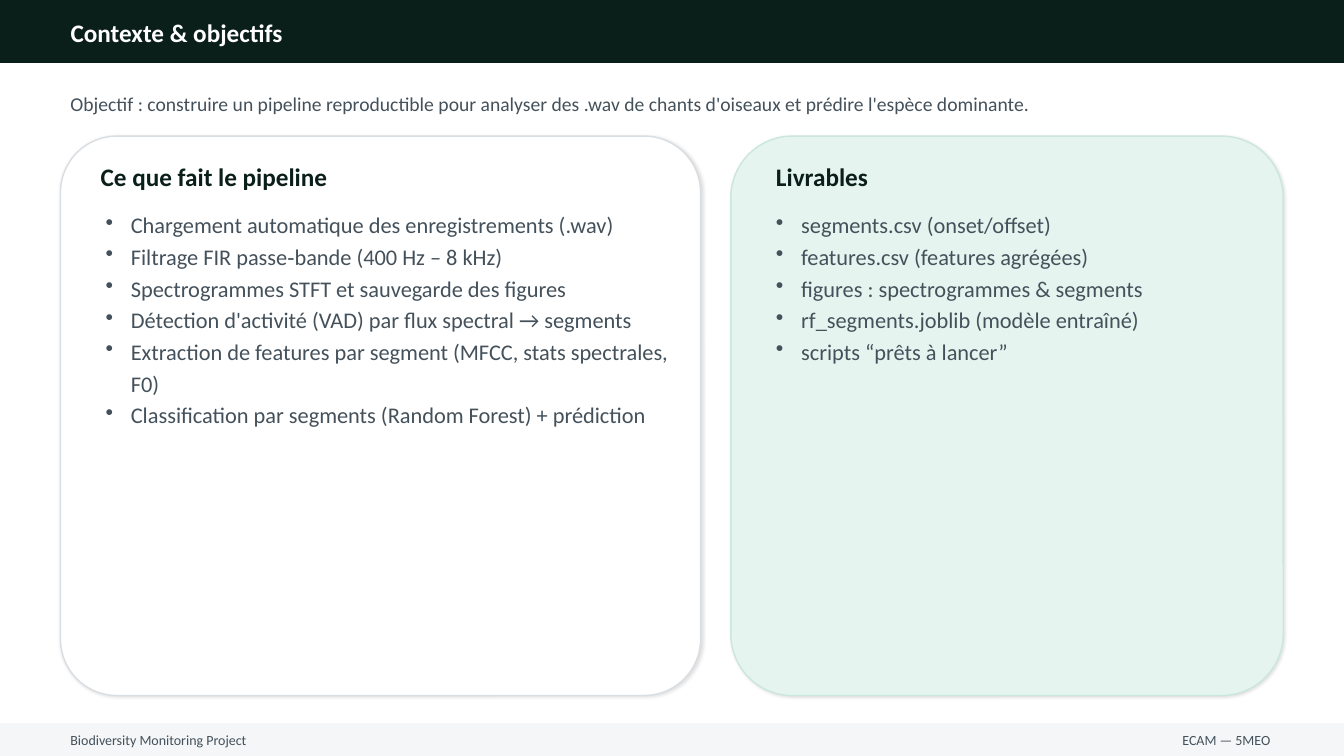
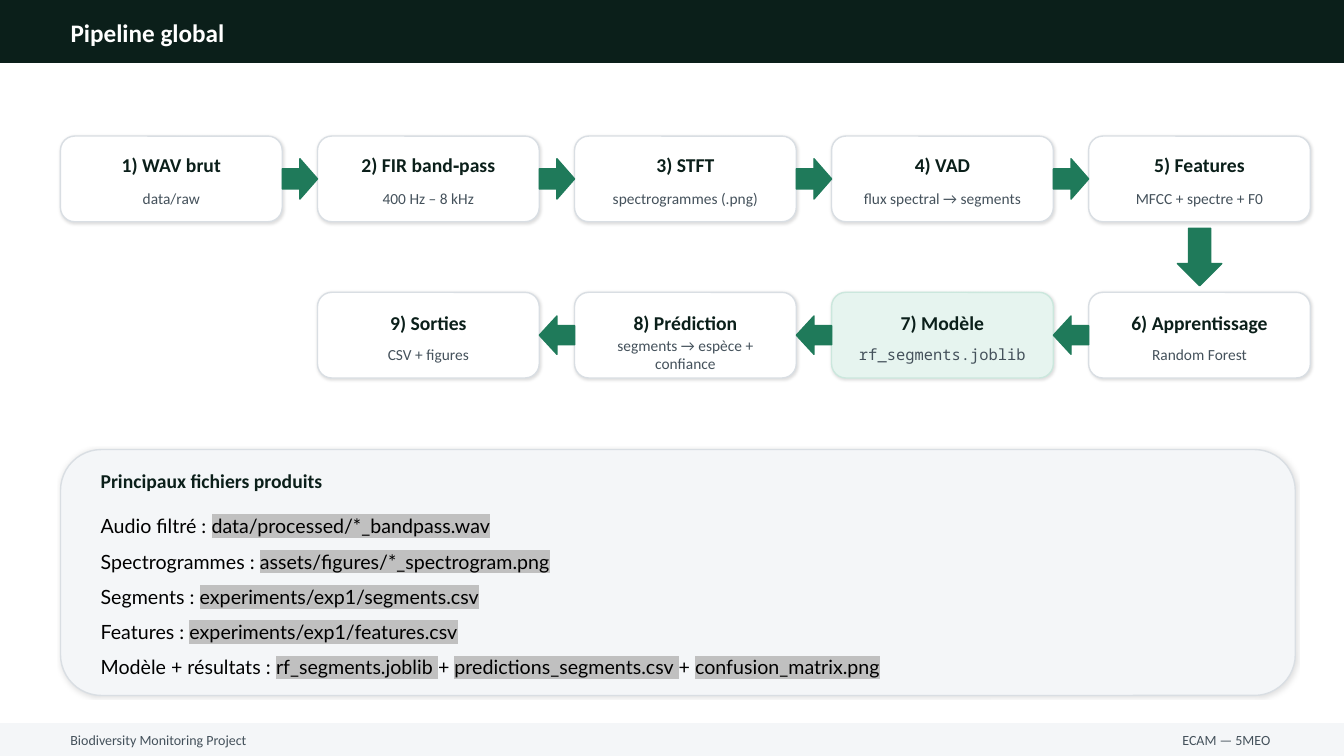
from collections import namedtuple

from lxml import etree
from pptx import Presentation
from pptx import util as u
from pptx.dml.color import RGBColor
from pptx.enum import shapes, text
from pptx.oxml import ns

# The grid has square cells of a tenth of an inch.
CELL = u.Inches(0.1)
COLS, ROWS = 133.33, 75
MARGIN = 6
BODY_TOP, BODY_BOTTOM = 13.5, 69

INK, SLATE, WHITE, BLACK = "0B1F1A", "44515B", "FFFFFF", "000000"
MIST, BORDER, GREEN = "F4F6F8", "D9DEE3", "1F7A5A"
MINT, MINT_BORDER, MARK = "E6F4EF", "CBE7DD", "C0C0C0"

TITLE = dict(size=18, bold=True, color=WHITE)
HEADING = dict(size=18, bold=True, color=INK)
SUBHEADING = dict(size=14, bold=True, color=INK)
LEAD = dict(size=14, color=SLATE)
BODY = dict(size=16, color=SLATE)
CAPTION = dict(size=11, color=SLATE)
CODE = dict(CAPTION, name="Noto Sans Mono")
FOOTER = dict(size=10, color=SLATE)
FILES = dict(size=14, color=BLACK, name="Lato")

LEFT, CENTER, RIGHT = (text.PP_ALIGN.LEFT, text.PP_ALIGN.CENTER,
                       text.PP_ALIGN.RIGHT)
TOP, MIDDLE = text.MSO_ANCHOR.TOP, text.MSO_ANCHOR.MIDDLE
SHAPE = shapes.MSO_SHAPE


class Box(namedtuple("Box", "x y w h")):
    def sub(self, dx, dy, w, h):
        """Return a box whose offset is counted from this one."""
        return Box(self.x + dx, self.y + dy, w, h)

    def emu(self):
        return [round(n * CELL) for n in self]


def rgb(color):
    return RGBColor.from_string(color)


def child(parent, tag, **attrs):
    el = etree.SubElement(parent, ns.qn(tag))
    for key, value in attrs.items():
        el.set(key, str(value))
    return el


def add_run(p, words, style, mark=None):
    r = p.add_run()
    r.text = words
    style = dict({"name": "Calibri", "bold": False}, **style)
    r.font.color.rgb = rgb(style.pop("color"))
    style["size"] = u.Pt(style["size"])
    for key, value in style.items():
        setattr(r.font, key, value)
    if mark:
        rpr = r.font.color.rgb and r._r.get_or_add_rPr()
        highlight = etree.Element(ns.qn("a:highlight"))
        child(highlight, "a:srgbClr", val=mark)
        rpr.find(ns.qn("a:solidFill")).addnext(highlight)


def add_bullet(p, indent):
    ppr = p._p.get_or_add_pPr()
    ppr.set("marL", str(indent))
    ppr.set("indent", str(-indent))
    child(ppr, "a:buChar", char="•")


def fill_text(sp, lines, style, align=LEFT, anchor=MIDDLE, spacing=None,
              bullets=False):
    """Write lines; in a line given as a list, every second part is marked."""
    tf = sp.text_frame
    frame = dict(word_wrap=True, auto_size=text.MSO_AUTO_SIZE.NONE,
                 vertical_anchor=anchor)
    for key, value in frame.items():
        setattr(tf, key, value)
    for i, line in enumerate(lines):
        p = tf.add_paragraph() if i else tf.paragraphs[0]
        p.alignment = align
        if spacing:
            p.line_spacing = spacing
        if bullets:
            add_bullet(p, u.Inches(0.25))
        parts = [line] if isinstance(line, str) else line
        for j, part in enumerate(parts):
            add_run(p, part, style, MARK if j % 2 else None)


def add_text(s, box, lines, style, **fmt):
    lines = [lines] if isinstance(lines, str) else lines
    fill_text(s.shapes.add_textbox(*box.emu()), lines, style, **fmt)


def add_block(s, kind, box, fill, line):
    sp = s.shapes.add_shape(kind, *box.emu())
    sp.shadow.inherit = False
    sp.fill.solid()
    sp.fill.fore_color.rgb = rgb(fill)
    sp.line.color.rgb = rgb(line)
    sp.line.width = u.Pt(1)
    return sp


def add_panel(s, box, fill=WHITE, line=BORDER, radius=None):
    """Rounded block with a soft shadow; radius is in cells."""
    sp = add_block(s, SHAPE.ROUNDED_RECTANGLE, box, fill, line)
    if radius:
        sp.adjustments[0] = radius / min(box.w, box.h)
    effects = sp.element.spPr.find(ns.qn("a:effectLst"))
    shadow = child(effects, "a:outerShdw", blurRad=u.Pt(2), dist=u.Pt(1),
                   dir=45 * 60000, algn="bl", rotWithShape=0)
    child(child(shadow, "a:srgbClr", val=BLACK), "a:alpha", val=12000)


def add_arrow(s, cx, cy, w, h, turn=0):
    box = Box(cx - w / 2, cy - h / 2, w, h)
    add_block(s, SHAPE.RIGHT_ARROW, box, GREEN, GREEN).rotation = turn


def add_page(prs, title):
    """Title-only slide with its title band and footer."""
    s = prs.slides.add_slide(prs.slide_layouts[5])
    top = Box(0, 0, COLS, 6.2)
    foot = Box(0, 71.8, COLS, 3.2)
    for band, color in ((top, INK), (foot, MIST)):
        add_block(s, SHAPE.RECTANGLE, band, color, color)
    sp = s.shapes.title
    sp.left, sp.top, sp.width, sp.height = top.sub(MARGIN, 1.2, 122, 4).emu()
    fill_text(sp, [title], TITLE)
    s.shapes.element.append(sp.element)  # bring the title above its band
    add_text(s, foot.sub(MARGIN, 0.4, 85, 2.5),
             "Biodiversity Monitoring Project", FOOTER)
    add_text(s, foot.sub(92, 0.4, 35, 2.5), "ECAM — 5MEO", FOOTER,
             align=RIGHT)
    return s


def add_list_card(s, box, heading, items, indent, **look):
    add_panel(s, box, **look)
    add_text(s, box.sub(indent, 2, box.w - 5.5, 4), heading, HEADING)
    add_text(s, box.sub(3.5, 6.5, box.w - 4.5, 18), items, BODY,
             anchor=TOP, spacing=1.18, bullets=True)


def add_step(s, box, heading, caption, style=CAPTION, drop=0, **look):
    add_panel(s, box, **look)
    inner = box.sub(1.5, 0, box.w - 3, box.h)
    add_text(s, inner.sub(0, 1.2 + drop, inner.w, 3.2), heading, SUBHEADING,
             align=CENTER)
    add_text(s, inner.sub(0, 4.6, inner.w, 3.1), caption, style, align=CENTER)


def add_flow(s, box):
    """Five steps to the right, then four back to the left."""
    forward = [("1) WAV brut", "data/raw"),
               ("2) FIR band‑pass", "400 Hz – 8 kHz"),
               ("3) STFT", "spectrogrammes (.png)"),
               ("4) VAD", "flux spectral → segments"),
               ("5) Features", "MFCC + spectre + F0")]
    back = [("6) Apprentissage", "Random Forest"),
            ("7) Modèle", "rf_segments.joblib"),
            ("8) Prédiction", "segments → espèce + confiance"),
            ("9) Sorties", "CSV + figures")]
    gap, step_h = 3.5, 8.5
    count = len(forward)
    step_w = (box.w - gap * (count - 1)) / count
    pitch, row_pitch = step_w + gap, box.h - step_h
    model = dict(fill=MINT, line=MINT_BORDER, style=CODE)

    for i, (heading, caption) in enumerate(forward + back):
        row, n = divmod(i, count)
        col = count - 1 - n if row else n
        step = box.sub(col * pitch, row * row_pitch, step_w, step_h)
        look = model if caption.endswith(".joblib") else {}
        add_step(s, step, heading, caption, drop=0.2 * row, **look)
    for i in range(count - 1):
        x = box.x + i * pitch + step_w + gap / 2
        y = box.y + step_h / 2
        add_arrow(s, x, y, gap, 4)
        if i:
            add_arrow(s, x, y + row_pitch, gap, 3.8, 180)
    add_arrow(s, box.x + box.w - step_w / 2, box.y + box.h / 2, 5.7, 4.4, 90)


def add_files_panel(s, box, heading, lines):
    add_panel(s, box, fill=MIST)
    add_text(s, box.sub(3, 1.6, 121, 3), heading, SUBHEADING)
    add_text(s, box.sub(3, 0.5, 121, 27), lines, FILES, spacing=1.5)


def context_slide(prs):
    s = add_page(prs, "Contexte & objectifs")
    add_text(s, Box(MARGIN, 8.5, 122, 3.5),
             "Objectif : construire un pipeline reproductible pour analyser "
             "des .wav de chants d'oiseaux et prédire l'espèce dominante.",
             LEAD)
    height = BODY_BOTTOM - BODY_TOP
    add_list_card(s, Box(MARGIN, BODY_TOP, 63.5, height),
                  "Ce que fait le pipeline", [
                      "Chargement automatique des enregistrements (.wav)",
                      "Filtrage FIR passe‑bande (400 Hz – 8 kHz)",
                      "Spectrogrammes STFT et sauvegarde des figures",
                      "Détection d'activité (VAD) par flux spectral → segments",
                      "Extraction de features par segment "
                      "(MFCC, stats spectrales, F0)",
                      "Classification par segments (Random Forest) + prédiction",
                  ], indent=3, radius=5.6)
    add_list_card(s, Box(72.5, BODY_TOP, 54.8, height), "Livrables", [
        "segments.csv (onset/offset)",
        "features.csv (features agrégées)",
        "figures : spectrogrammes & segments",
        "rf_segments.joblib (modèle entraîné)",
        "scripts “prêts à lancer”",
    ], indent=3.5, radius=6.1, fill=MINT, line=MINT_BORDER)


def pipeline_slide(prs):
    s = add_page(prs, "Pipeline global")
    add_flow(s, Box(MARGIN, BODY_TOP, 124, 24))
    top = 44.6
    add_files_panel(s, Box(MARGIN, top, 122.5, BODY_BOTTOM - top),
                    "Principaux fichiers produits", [
        ["Audio filtré : ", "data/processed/*_bandpass.wav"],
        ["Spectrogrammes : ", "assets/figures/*_spectrogram.png"],
        ["Segments : ", "experiments/exp1/segments.csv"],
        ["Features : ", "experiments/exp1/features.csv"],
        ["Modèle + résultats : ", "rf_segments.joblib ", "+ ",
         "predictions_segments.csv ", "+ ", "confusion_matrix.png"],
    ])


def main():
    prs = Presentation()
    prs.slide_width, prs.slide_height = Box(0, 0, COLS, ROWS).emu()[2:]
    context_slide(prs)
    pipeline_slide(prs)
    prs.save("out.pptx")


if __name__ == "__main__":
    main()
